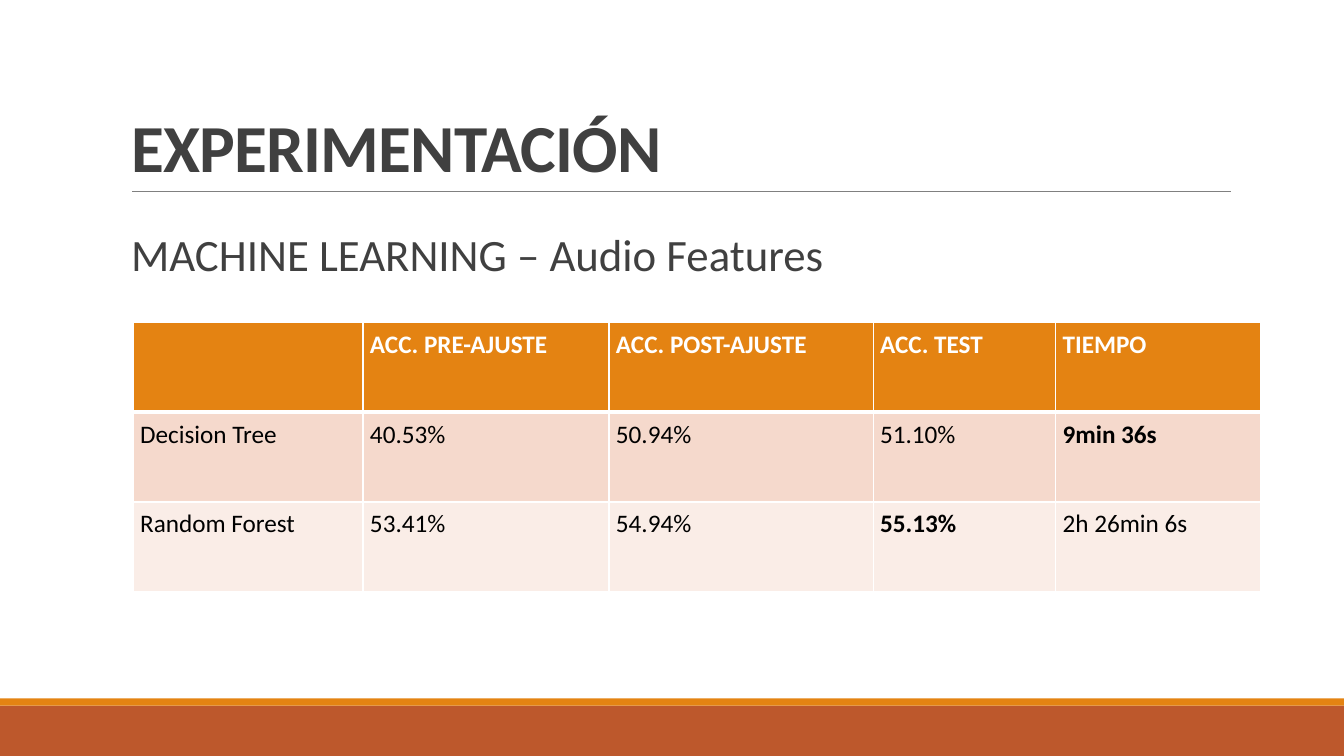
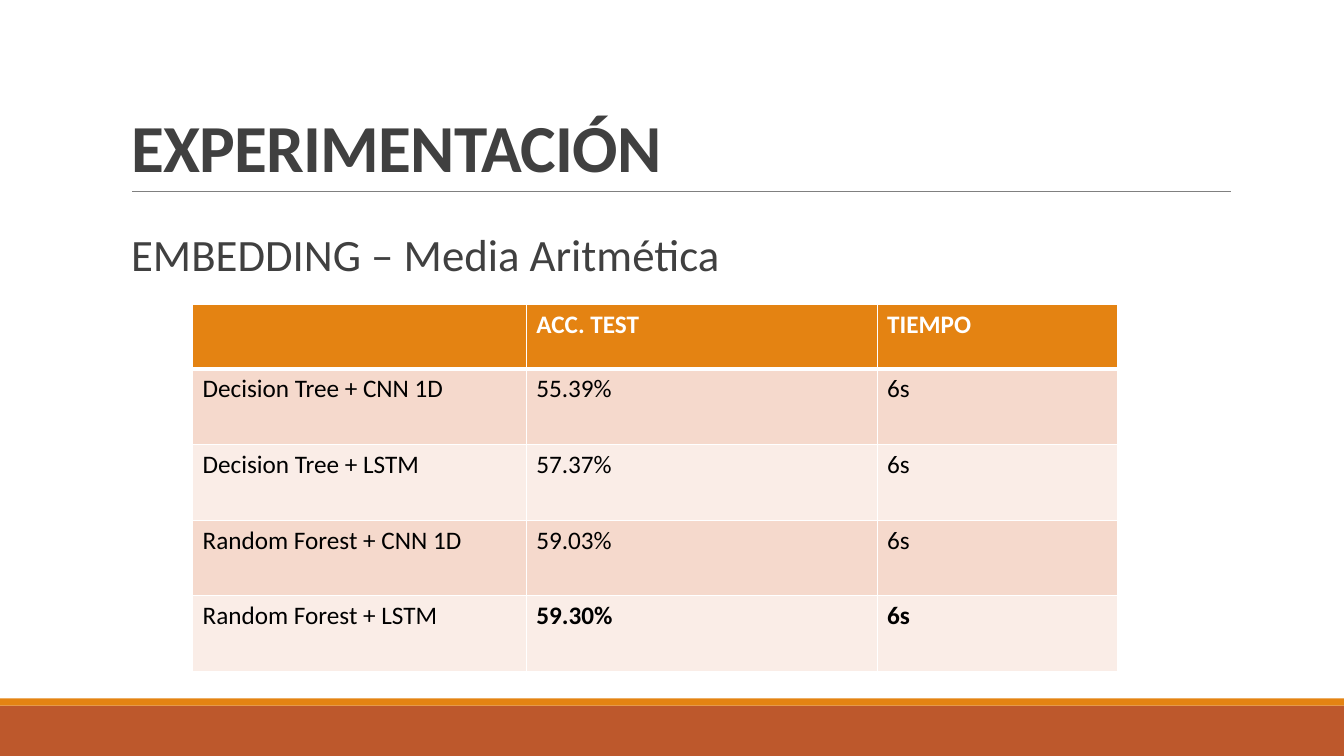
"""Build two slides of experiment results with a shared title style and footer bands."""
import dataclasses

import lxml.etree
import pptx
import pptx.dml.color
import pptx.enum.shapes
import pptx.enum.text
import pptx.oxml.ns
import pptx.util

Inches = pptx.util.Inches
Pt = pptx.util.Pt


def color(code):
    return pptx.dml.color.RGBColor.from_string(code)


def tag(parent, name, **attrs):
    return lxml.etree.SubElement(parent, pptx.oxml.ns.qn(name), **attrs)


@dataclasses.dataclass(frozen=True)
class Theme:
    font: str = "Calibri"
    rust: str = "BD582C"
    amber: str = "E48312"
    gray: str = "808080"
    ink: str = "404040"
    black: str = "000000"
    white: str = "FFFFFF"
    rows: tuple = ("F5D9CC", "FAEDE7")
    title: int = 48
    head: int = 32
    cell: int = 18
    rule: float = 0.5
    thin: int = 1
    thick: int = 3


class Deck:
    def __init__(self, theme):
        self.theme = theme
        self.file = pptx.Presentation()
        self.file.slide_width = Inches(13.33)
        self.file.slide_height = Inches(7.5)
        self.slide = None

    def start(self, title, head):
        look = self.theme
        self.slide = self.file.slides.add_slide(self.file.slide_layouts[6])
        self.band(7, 0.5, look.rust)
        self.band(6.93, 0.07, look.amber)
        self.rule(1.31, 12.21, 1.9)
        part = self.text(title, (1.3, 0.36, 10.8, 1.49), look.title, 0.85,
                         pptx.enum.text.MSO_ANCHOR.BOTTOM)
        part.font.bold = True
        part.font._element.set("spc", "-50")
        self.text(head, (1.3, 2.31, 10.9, 0.6), look.head, 0.9,
                  pptx.enum.text.MSO_ANCHOR.TOP)

    def band(self, top, height, fill):
        shape = self.slide.shapes.add_shape(
            pptx.enum.shapes.MSO_SHAPE.RECTANGLE,
            0, Inches(top), self.file.slide_width, Inches(height))
        shape.shadow.inherit = False
        shape.fill.solid()
        shape.fill.fore_color.rgb = color(fill)
        shape.line.fill.background()

    def rule(self, left, right, top):
        line = self.slide.shapes.add_connector(
            pptx.enum.shapes.MSO_CONNECTOR.STRAIGHT,
            Inches(left), Inches(top), Inches(right), Inches(top))
        line.line.color.rgb = color(self.theme.gray)
        line.line.width = Pt(self.theme.rule)
        tag(line._element.spPr, "a:effectLst")

    def text(self, words, place, size, pitch, anchor):
        box = self.slide.shapes.add_textbox(*map(Inches, place))
        frame = box.text_frame
        frame.word_wrap = True
        frame.vertical_anchor = anchor
        frame.margin_left = frame.margin_right = 0
        frame.margin_top = frame.margin_bottom = 0
        frame.text = words
        frame.paragraphs[0].line_spacing = pitch
        return self.style(frame.paragraphs[0].runs[0], size, self.theme.ink)

    def style(self, run, size, ink):
        run.font.name = self.theme.font
        run.font.size = Pt(size)
        run.font.color.rgb = color(ink)
        return run

    def table(self, left, top, widths, heights, rows, bold, pads):
        frame = self.slide.shapes.add_table(
            len(heights), len(widths), Inches(left), Inches(top),
            Inches(sum(widths)), Inches(sum(heights)))
        grid = frame.table
        for col, width in zip(grid.columns, widths):
            col.width = Inches(width)
        for row, height in zip(grid.rows, heights):
            row.height = Inches(height)
        for y, line in enumerate(rows):
            for x, words in enumerate(line):
                self.cell(grid.cell(y, x), words, y, y == 0 or (y, x) in bold, pads)

    def cell(self, cell, words, row, bold, pads):
        look = self.theme
        cell.margin_left = cell.margin_right = Inches(pads[0])
        cell.margin_top = cell.margin_bottom = Inches(pads[1])
        self.edge(cell, row)
        cell.fill.solid()
        fill = look.rows[(row - 1) % 2] if row else look.amber
        cell.fill.fore_color.rgb = color(fill)
        cell.text_frame.text = words
        for run in cell.text_frame.paragraphs[0].runs:
            self.style(run, look.cell, look.black if row else look.white)
            run.font.bold = bold

    def edge(self, cell, row):
        look = self.theme
        sizes = {"L": look.thin, "R": look.thin,
                 "T": look.thick if row == 1 else look.thin,
                 "B": look.thin if row else look.thick}
        props = cell._tc.get_or_add_tcPr()
        for side, size in sizes.items():
            line = tag(props, "a:ln" + side, w=str(Pt(size)))
            tag(tag(line, "a:solidFill"), "a:srgbClr", val=look.white)

    def save(self):
        self.file.save("out.pptx")


def main():
    deck = Deck(Theme())
    title = "EXPERIMENTACIÓN"

    deck.start(title, "MACHINE LEARNING – Audio Features")
    deck.table(
        1.32, 3.2, [2.28, 2.44, 2.62, 1.81, 2.03], [0.89] * 3,
        [["", "ACC. PRE-AJUSTE", "ACC. POST-AJUSTE", "ACC. TEST", "TIEMPO"],
         ["Decision Tree", "40.53%", "50.94%", "51.10%", "9min 36s"],
         ["Random Forest", "53.41%", "54.94%", "55.13%", "2h 26min 6s"]],
        {(1, 4), (2, 3)}, (0.07, 0.07))

    deck.start(title, "EMBEDDING – Media Aritmética")
    deck.table(
        1.91, 3.02, [3.31, 3.48, 2.39], [0.64] + [0.75] * 4,
        [["", "ACC. TEST", "TIEMPO"],
         ["Decision Tree + CNN 1D", "55.39%", "6s"],
         ["Decision Tree + LSTM", "57.37%", "6s"],
         ["Random Forest + CNN 1D", "59.03%", "6s"],
         ["Random Forest + LSTM", "59.30%", "6s"]],
        {(4, 1), (4, 2)}, (0.1, 0.05))

    deck.save()


if __name__ == "__main__":
    main()
